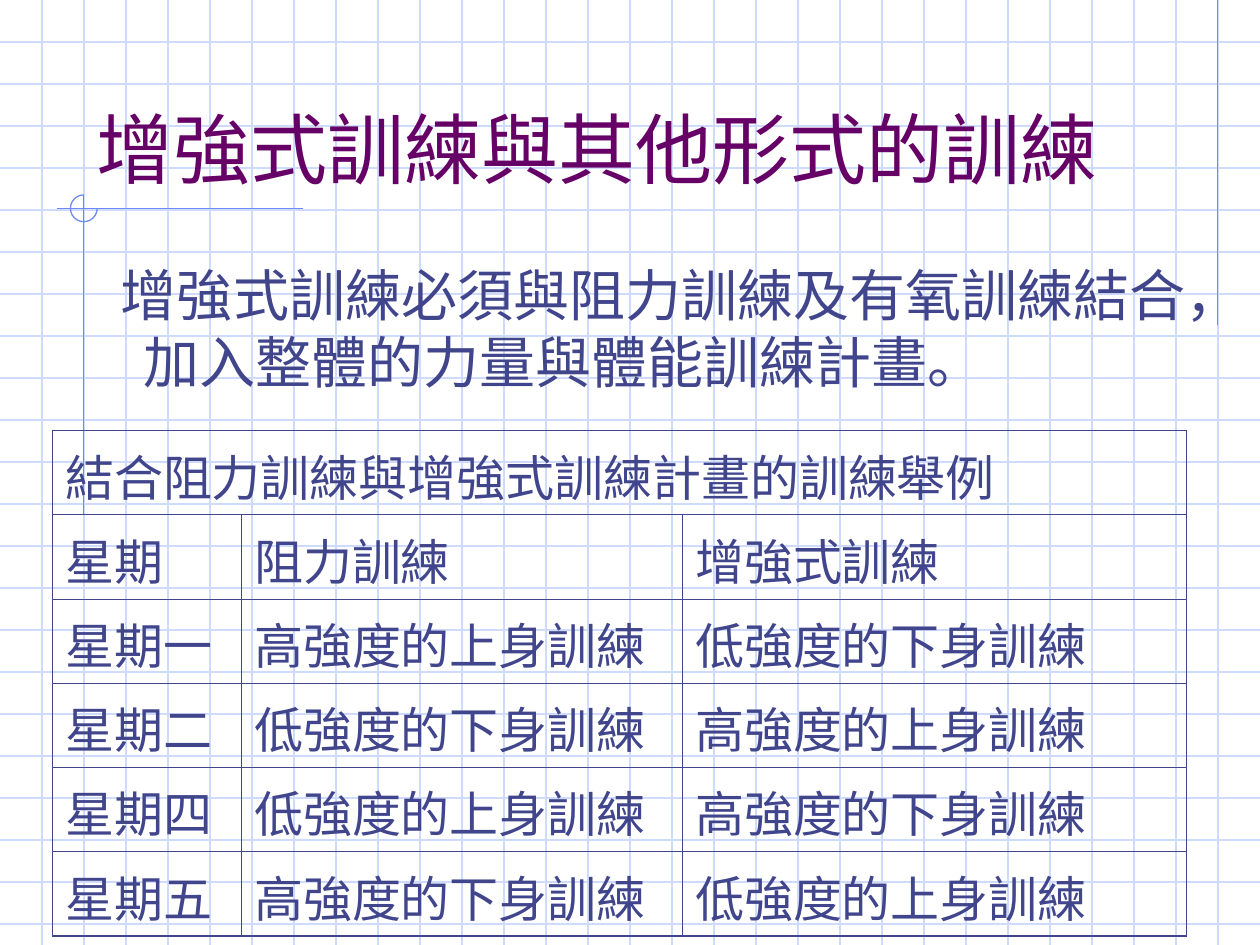
from lxml import etree
from pptx import Presentation
from pptx.dml.color import RGBColor
from pptx.enum.shapes import MSO_CONNECTOR, MSO_SHAPE
from pptx.enum.text import MSO_ANCHOR, MSO_AUTO_SIZE, PP_ALIGN
from pptx.oxml.ns import qn
from pptx.util import Cm, Pt

STRAIGHT = MSO_CONNECTOR.STRAIGHT
ARC = MSO_SHAPE.ARC
LEFT = PP_ALIGN.LEFT
TOP, BOTTOM = MSO_ANCHOR.TOP, MSO_ANCHOR.BOTTOM
NO_AUTOFIT = MSO_AUTO_SIZE.NONE

GRID_BLUE = RGBColor(0xCF, 0xDB, 0xFD)
ACCENT_BLUE = RGBColor(0x6F, 0x89, 0xF7)
TEXT_BLUE = RGBColor(0x40, 0x45, 0x8C)
TITLE_PURPLE = RGBColor(0x66, 0x00, 0x66)

MAIN_FONT = "Cabin"
BODY_FONT = "Noto Sans CJK SC"

WIDTH, HEIGHT = 25.4, 19.05
GRID_COLUMNS = 30
GRID_STEP = WIDTH / GRID_COLUMNS
GRID_ROWS = int(HEIGHT / GRID_STEP)

TITLE = "增強式訓練與其他形式的訓練"
BODY = "增強式訓練必須與阻力訓練及有氧訓練結合，加入整體的力量與體能訓練計畫。"
TABLE_TITLE = "結合阻力訓練與增強式訓練計畫的訓練舉例"
TABLE_ROWS = [
    ("星期", "阻力訓練", "增強式訓練"),
    ("星期一", "高強度的上身訓練", "低強度的下身訓練"),
    ("星期二", "低強度的下身訓練", "高強度的上身訓練"),
    ("星期四", "低強度的上身訓練", "高強度的下身訓練"),
    ("星期五", "高強度的下身訓練", "低強度的上身訓練"),
]
COLUMN_WIDTHS = (3.81, 8.89, 10.16)
ROW_HEIGHT = 1.6
OUTER_BORDER, INNER_BORDER = Pt(1.08), Pt(0.45)


class SlideBuilder:
    """Holds the style and the slide being drawn."""

    def __init__(self, slide):
        self.slide = slide
        self.shapes = slide.shapes
        self.line_width = Pt(0.75)

    def line(self, x1, y1, x2, y2, color):
        connector = self.shapes.add_connector(
            STRAIGHT, Cm(x1), Cm(y1), Cm(x2), Cm(y2))
        connector.line.color.rgb = color
        connector.line.width = self.line_width
        properties = connector._element.spPr
        etree.SubElement(properties, qn("a:effectLst"))

    def arc(self, left, top, size, color):
        shape = self.shapes.add_shape(
            ARC, Cm(left), Cm(top), Cm(size), Cm(size))
        shape.adjustments[0] = 0
        shape.adjustments[1] = 162  # 270 degrees: the top of the circle
        shape.shadow.inherit = False
        shape.fill.background()
        shape.line.color.rgb = color
        shape.line.width = self.line_width

    def add_text(self, text_frame, text, size, color, font=MAIN_FONT):
        paragraph = text_frame.paragraphs[0]
        paragraph.alignment = LEFT
        run = paragraph.add_run()
        run.text = text
        run.font.size = Pt(size)
        run.font.name = font
        run.font.color.rgb = color
        east_asian = etree.SubElement(run._r.get_or_add_rPr(), qn("a:ea"))
        east_asian.set("typeface", MAIN_FONT)
        return paragraph

    def title(self, text, left, top, width, height):
        title = self.shapes.title
        title.left, title.top = Cm(left), Cm(top)
        title.width, title.height = Cm(width), Cm(height)
        title.text_frame.vertical_anchor = BOTTOM
        title.text_frame.auto_size = NO_AUTOFIT
        self.add_text(title.text_frame, text, 44, TITLE_PURPLE)
        self.shapes._spTree.append(title._element)  # in front of the grid

    def body(self, text, left, top, width, height):
        box = self.shapes.add_textbox(Cm(left), Cm(top), Cm(width), Cm(height))
        frame = box.text_frame
        frame.word_wrap = True
        frame.vertical_anchor = TOP
        paragraph = self.add_text(frame, text, 32, TEXT_BLUE, BODY_FONT)
        properties = paragraph._p.get_or_add_pPr()
        properties.set("marL", str(Cm(0.95)))
        properties.set("indent", str(Cm(-0.45)))

    def cell_borders(self, cell, widths):
        properties = cell._tc.get_or_add_tcPr()
        for position, (side, width) in enumerate(widths.items()):
            border = etree.Element(qn(f"a:ln{side}"), w=str(width))
            fill = etree.SubElement(border, qn("a:solidFill"))
            etree.SubElement(fill, qn("a:srgbClr"), val=str(TEXT_BLUE))
            properties.insert(position, border)

    def table(self, heading, rows, left, top):
        row_count, column_count = len(rows) + 1, len(COLUMN_WIDTHS)
        table = self.shapes.add_table(
            row_count, column_count, Cm(left), Cm(top),
            Cm(sum(COLUMN_WIDTHS)), Cm(ROW_HEIGHT * row_count)).table
        table.first_row = table.horz_banding = False
        for column, width in zip(table.columns, COLUMN_WIDTHS):
            column.width = Cm(width)
        for row in table.rows:
            row.height = Cm(ROW_HEIGHT)
        table.cell(0, 0).merge(table.cell(0, column_count - 1))

        for row in range(row_count):
            for column in range(column_count):
                cell = table.cell(row, column)
                cell.fill.background()
                cell.margin_top = Cm(0.37)
                outer_sides = {
                    "L": column == 0 or row == 0,
                    "R": column == column_count - 1 or row == 0,
                    "T": row == 0,
                    "B": row == row_count - 1,
                }
                self.cell_borders(cell, {
                    side: OUTER_BORDER if outer else INNER_BORDER
                    for side, outer in outer_sides.items()})
                if not cell.is_spanned:
                    text = rows[row - 1][column] if row else heading
                    self.add_text(cell.text_frame, text, 28, TEXT_BLUE)


def main():
    presentation = Presentation()
    presentation.slide_width, presentation.slide_height = Cm(WIDTH), Cm(HEIGHT)
    slide = presentation.slides.add_slide(presentation.slide_layouts[5])
    builder = SlideBuilder(slide)

    # Background grid
    for row in range(1, GRID_ROWS + 1):
        builder.line(0, row * GRID_STEP, WIDTH, row * GRID_STEP, GRID_BLUE)
    for column in range(1, GRID_COLUMNS):
        builder.line(column * GRID_STEP, 0, column * GRID_STEP, HEIGHT, GRID_BLUE)

    # Accent lines and open circle
    builder.line(24.55, 0, 24.55, 6.55, ACCENT_BLUE)
    builder.line(6.1, 4.21, 1.15, 4.21, ACCENT_BLUE)
    builder.line(1.69, 3.93, 1.69, 10.39, ACCENT_BLUE)
    builder.arc(1.42, 3.93, 0.54, ACCENT_BLUE)

    # Text and training plan
    builder.body(BODY, 1.69, 5.13, 22.6, 3.18)
    builder.title(TITLE, 1.69, 0.85, 21.59, 3.18)
    builder.table(TABLE_TITLE, TABLE_ROWS, 1.06, 8.68)

    presentation.save("out.pptx")


if __name__ == "__main__":
    main()
